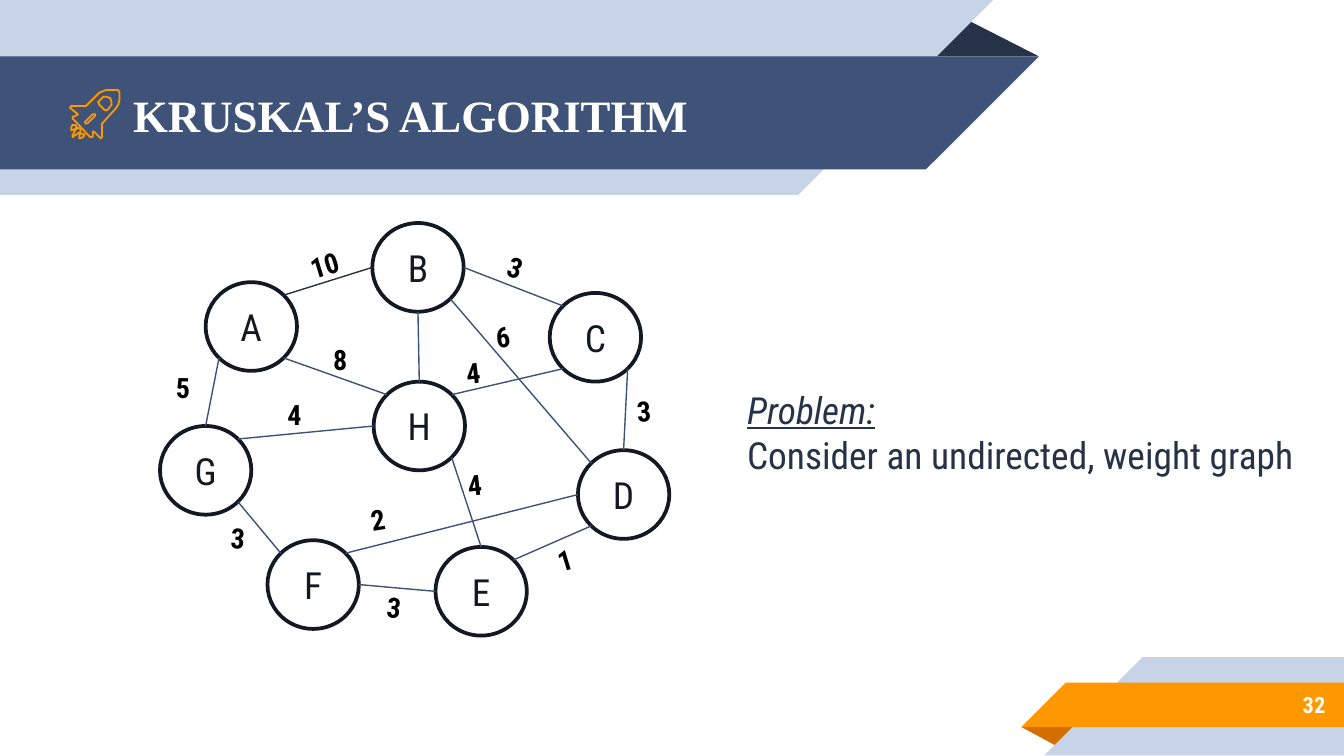
from math import cos, radians, sin

from lxml.etree import SubElement
from pptx import Presentation
from pptx.dml.color import RGBColor
from pptx.enum.shapes import MSO_CONNECTOR as CONNECTOR, MSO_SHAPE as SHAPE
from pptx.enum.text import MSO_ANCHOR as ANCHOR, PP_ALIGN as ALIGN
from pptx.oxml.ns import qn
from pptx.util import Inches, Pt

COLORS = {
    "pale": "C7D3E6", "navy": "3F5378", "fold": "263248",
    "orange": "FF9800", "orange_fold": "D26F00", "white": "FFFFFF",
    "ink": "131924", "edge": "3C5177", "first_edge": "243147", "black": "000000",
}
BODY_FONT = "Roboto Condensed"
TITLE_FONT = "Times New Roman"

NODE_W, NODE_H = 0.68, 0.66
NODES = {
    "A": (0.34, 0.44), "B": (1.58, 0), "C": (2.9, 0.52), "D": (3.11, 1.69),
    "H": (1.59, 1.18), "G": (0, 1.51), "E": (2.05, 2.41), "F": (0.8, 2.36),
}
SITES = {"E": 0, "SE": 45, "S": 90, "SW": 135, "W": 180, "NW": 225, "N": 270, "NE": 315}
EDGES = [
    ("A", "NE", "B", "W"), ("B", "E", "C", "NW"), ("C", "SE", "D", "N"),
    ("D", "SW", "E", "NE"), ("E", "W", "F", "E"), ("F", "NW", "G", "SE"),
    ("G", "N", "A", "SW"), ("B", "S", "H", "N"), ("B", "SE", "D", "NW"),
    ("D", "W", "F", "NE"), ("H", "SE", "E", "N"), ("A", "SE", "H", "NW"),
    ("H", "W", "G", "NE"), ("C", "SW", "H", "NE"),
]
WEIGHTS = [
    ("10", 1.02, 0.13, -16.9), ("3", 2.49, 0.18, 19.1), ("4", 2.19, 1.76, -6.6),
    ("2", 1.47, 2.02, -9.2), ("4", 0.85, 1.25, 0), ("5", 0.02, 1.05, 0),
    ("3", 0.43, 2.17, 3.9), ("3", 1.59, 2.69, 6.1), ("1", 2.86, 2.31, -16.9),
    ("4", 2.18, 0.93, -6.6), ("6", 2.4, 0.66, -6.6), ("8", 1.19, 0.84, 0),
    ("3", 3.45, 1.22, -4.2),
]

ROCKET = [
    [
        [(24, 35), (24, 25), (34, 14), (36, 11), (37, 7), (37, 2), (36, 0), (32, 0),
         (27, 0), (22, 2), (12, 12), (1, 12), (0, 13), (1, 14), (6, 18), (5, 19),
         (2, 20), (2, 21), (15, 35), (17, 35), (17, 31), (18, 31), (23, 36)],
        [(28, 15), (26, 15), (22, 11), (21, 9), (22, 8), (25, 5), (27, 5),
         (30, 6), (31, 9), (31, 11)],
        [(13, 25), (12, 25), (11, 24), (17, 18), (19, 18), (19, 19)],
    ],
    [[(8, 29), (6, 28), (4, 30), (2, 34), (2, 35), (5, 33), (8, 31)]],
    [[(10, 33), (8, 32), (7, 34), (7, 36), (10, 35), (11, 33)]],
    [[(4, 26), (2, 26), (1, 28), (1, 30), (4, 29), (5, 27)]],
]


def rgb(name):
    return RGBColor.from_string(COLORS[name])


def add_outline(slide, left, top, contours):
    placed = [[(left * 100 + x, top * 100 + y) for x, y in contour] for contour in contours]
    builder = slide.shapes.build_freeform(*placed[0][0], scale=Inches(0.01))
    builder.add_line_segments(placed[0][1:], close=True)
    for contour in placed[1:]:
        builder.move_to(*contour[0])
        builder.add_line_segments(contour[1:], close=True)
    outline = builder.convert_to_shape()
    outline.shadow.inherit = False
    return outline


def add_panel(slide, left, top, points, color):
    panel = add_outline(slide, left, top, [points])
    panel.fill.solid()
    panel.fill.fore_color.rgb = rgb(color)
    panel.line.fill.background()


def style(paragraph, size, color, name=BODY_FONT, bold=False):
    font = paragraph.font
    font.name, font.size, font.bold = name, Pt(size), bold
    font.color.rgb = rgb(color)


def add_label(slide, left, top, width, height, text, size, color, bold=False, wrap=True):
    label = slide.shapes.add_textbox(Inches(left), Inches(top), Inches(width), Inches(height))
    label.text_frame.word_wrap = wrap
    label.text_frame.text = text
    for paragraph in label.text_frame.paragraphs:
        style(paragraph, size, color, bold=bold)
    return label


def add_rocket(slide, left, top):
    for contours in ROCKET:
        part = add_outline(slide, left, top, contours)
        part.fill.background()
        part.line.color.rgb = rgb("orange")
        part.line.width = Pt(0.96)


def add_banner(slide, left, top, heading):
    add_panel(slide, left, top, [(688, 42), (722, 16), (773, 42)], "fold")
    add_panel(slide, left, top, [(0, 0), (739, 0), (594, 145), (0, 145)], "pale")
    add_panel(slide, left, top, [(0, 42), (773, 42), (689, 126), (0, 126)], "navy")
    add_rocket(slide, left + 0.52, top + 0.67)

    title = slide.shapes.title
    slide.shapes._spTree.append(title._element)
    title.left, title.top = Inches(left + 0.89), Inches(top + 0.43)
    title.width, title.height = Inches(5.75), Inches(0.84)
    frame = title.text_frame
    frame.text = heading
    frame.vertical_anchor = ANCHOR.MIDDLE
    frame.margin_left = frame.margin_right = frame.margin_top = frame.margin_bottom = Inches(0.1)
    frame.paragraphs[0].alignment = ALIGN.LEFT
    style(frame.paragraphs[0], 24, "white", TITLE_FONT, bold=True)


def add_page_corner(slide, left, top, number):
    add_panel(slide, left, top, [(0, 52), (43, 52), (26, 66)], "orange_fold")
    add_panel(slide, left, top, [(90, 0), (240, 0), (240, 73), (17, 73)], "pale")
    add_panel(slide, left, top, [(33, 19), (240, 19), (240, 52), (0, 52)], "orange")
    page = add_label(slide, left + 0.73, top + 0.18, 1.63, 0.35, number, 12, "white", bold=True)
    page.text_frame.vertical_anchor = ANCHOR.MIDDLE
    page.text_frame.paragraphs[0].alignment = ALIGN.RIGHT


def site_point(node, site):
    x, y = NODES[node]
    angle = radians(SITES[site])
    return x + NODE_W / 2 * (1 + cos(angle)), y + NODE_H / 2 * (1 + sin(angle))


def add_graph(slide, left, top):
    for name, (x, y) in NODES.items():
        node = slide.shapes.add_shape(
            SHAPE.OVAL, Inches(left + x), Inches(top + y), Inches(NODE_W), Inches(NODE_H))
        node.shadow.inherit = False
        node.fill.solid()
        node.fill.fore_color.rgb = rgb("white")
        node.line.color.rgb = rgb("ink")
        node.line.width = Pt(2)
        node.text_frame.text = name
        node.text_frame.vertical_anchor = ANCHOR.MIDDLE
        node.text_frame.paragraphs[0].alignment = ALIGN.CENTER
        style(node.text_frame.paragraphs[0], 20, "ink")

    for index, (start, start_site, end, end_site) in enumerate(EDGES):
        x1, y1 = site_point(start, start_site)
        x2, y2 = site_point(end, end_site)
        edge = slide.shapes.add_connector(
            CONNECTOR.STRAIGHT, Inches(left + x1), Inches(top + y1),
            Inches(left + x2), Inches(top + y2))
        edge.line.color.rgb = rgb("edge" if index else "first_edge")
        edge.line.width = Pt(0.75)
        SubElement(edge._element.spPr, qn("a:effectLst"))

    for weight, x, y, angle in WEIGHTS:
        label = add_label(slide, left + x, top + y, 0.46, 0.35, weight, 15, "black", bold=True)
        label.rotation = angle


def add_problem(slide, left, top):
    problem = add_label(slide, left, top, 4.31, 0.77,
                        "Problem:\nConsider an undirected, weight graph", 20, "fold", wrap=False)
    heading = problem.text_frame.paragraphs[0].font
    heading.italic = heading.underline = True


def main():
    deck = Presentation()
    deck.slide_width = Inches(10)
    deck.slide_height = deck.slide_width * 9 // 16
    slide = deck.slides.add_slide(deck.slide_layouts[5])
    add_banner(slide, 0, 0, "KRUSKAL’S ALGORITHM")
    add_page_corner(slide, 7.6, 4.89, "32")
    add_graph(slide, 1.19, 1.66)
    add_problem(slide, 5.46, 2.83)
    deck.save("out.pptx")


if __name__ == "__main__":
    main()
